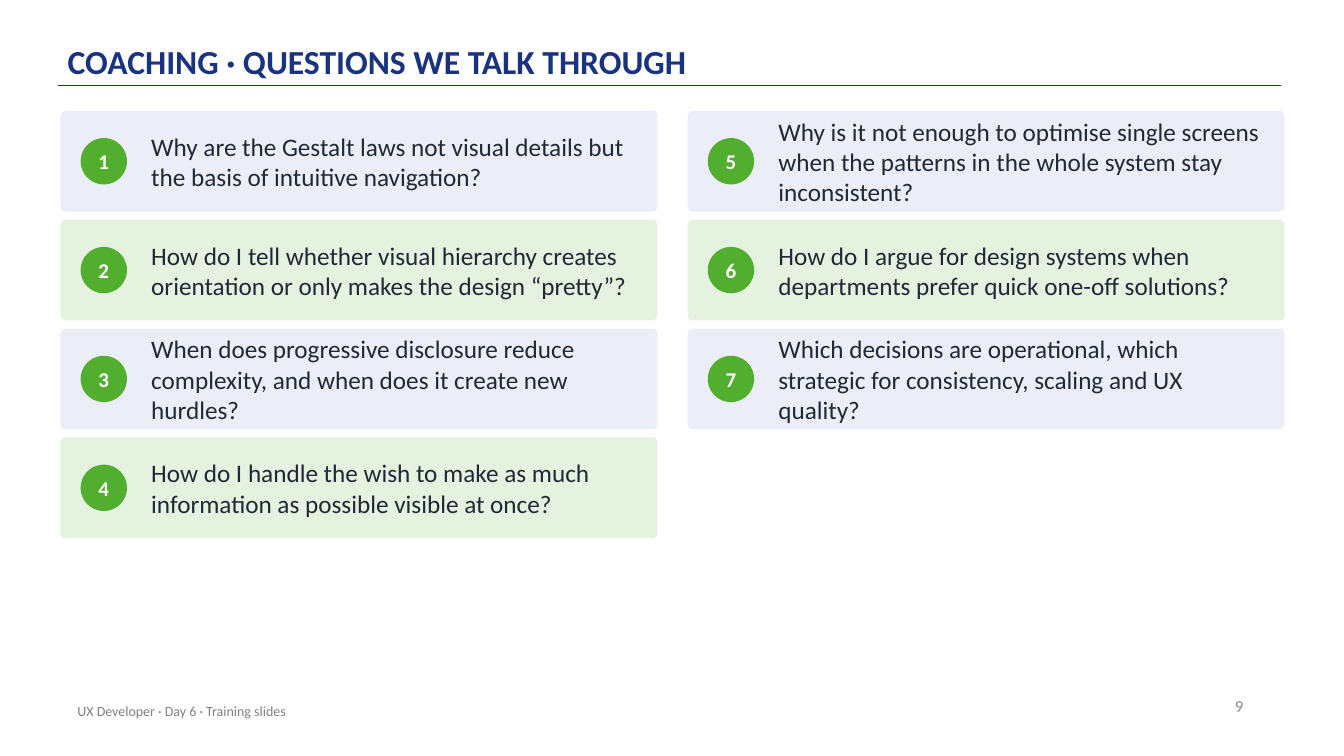
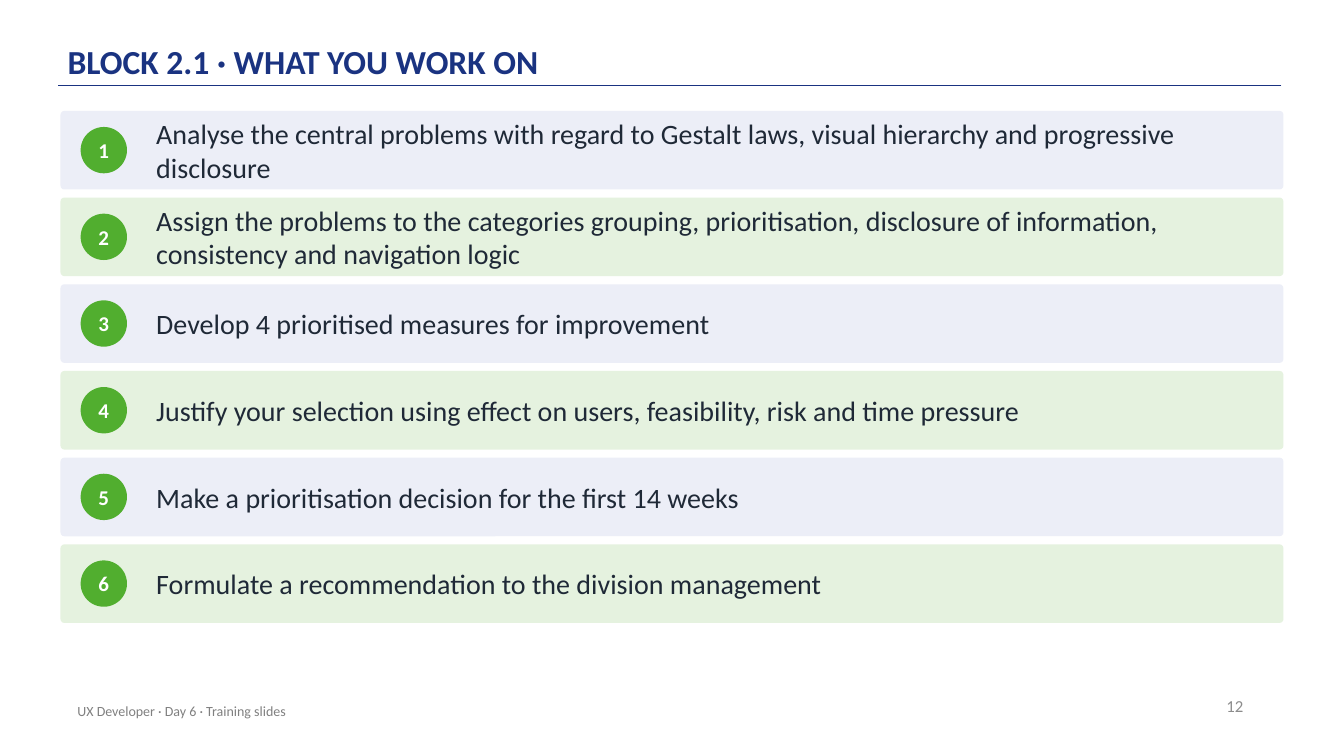
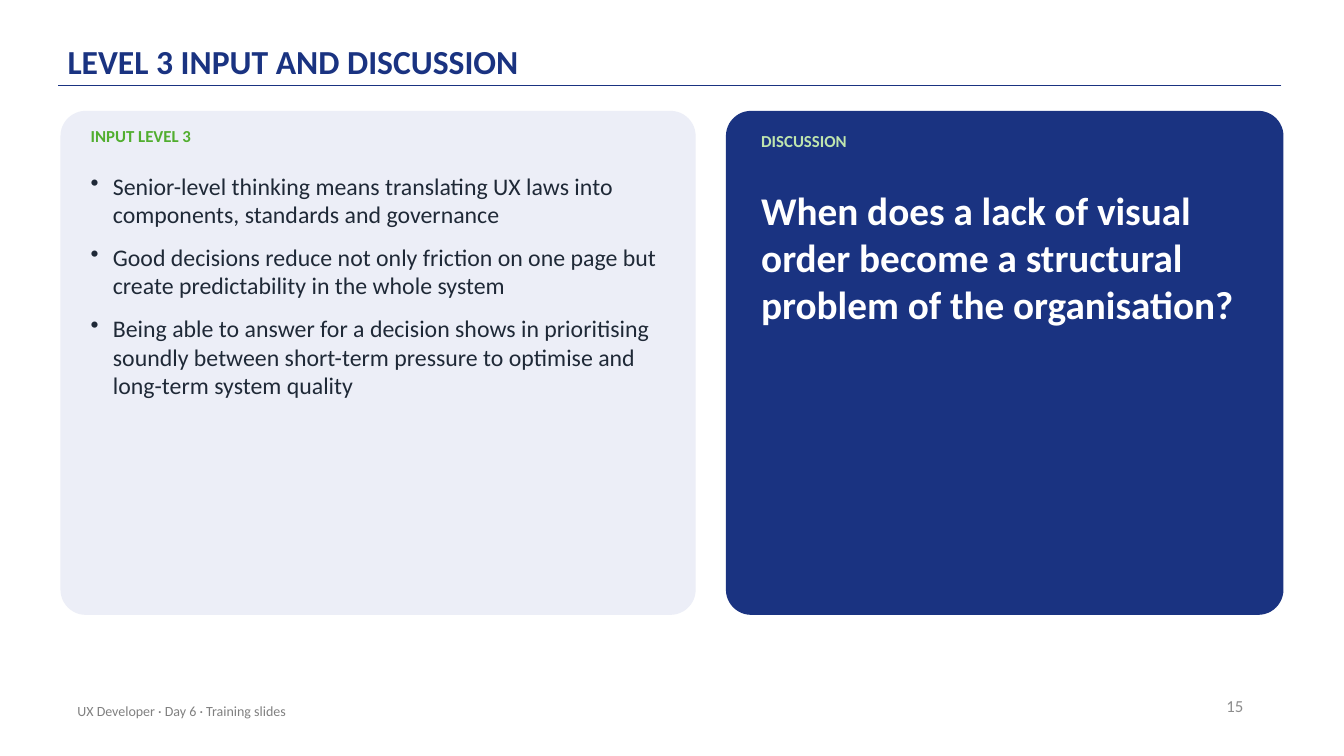
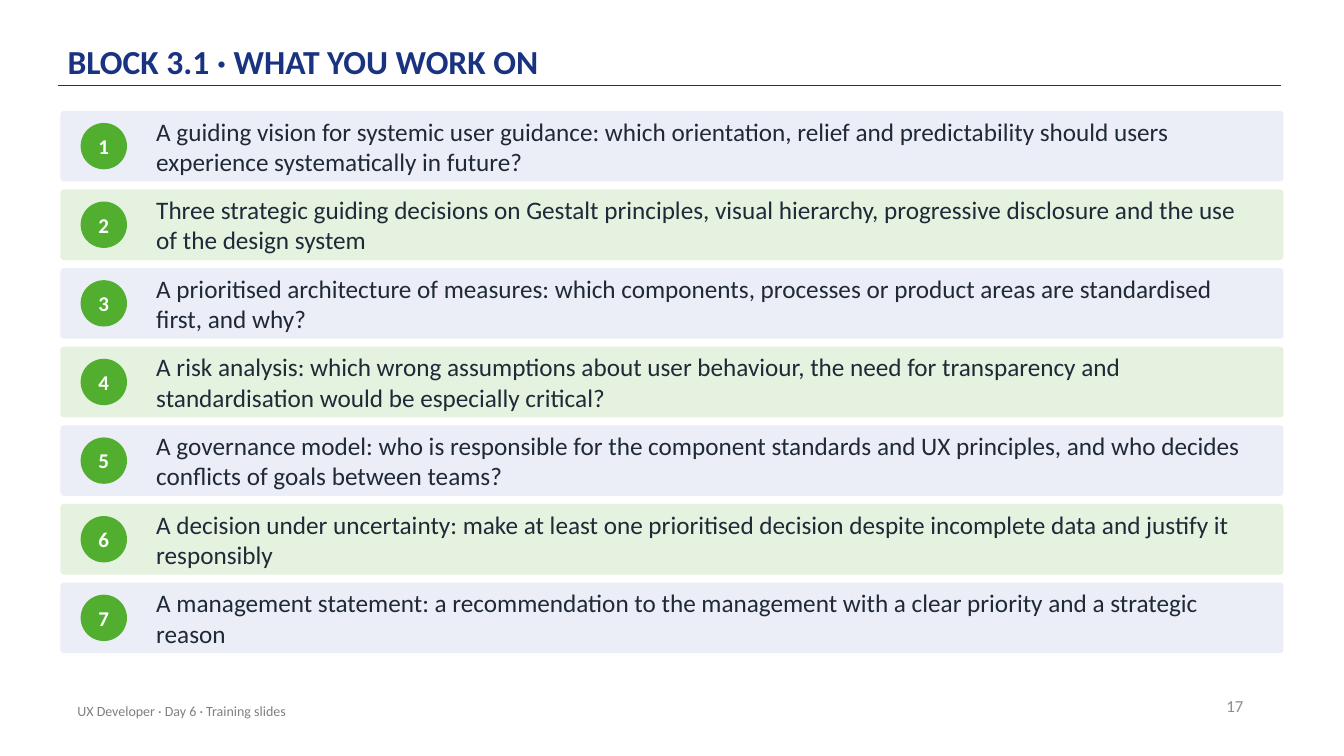
from lxml import etree
from pptx import Presentation
from pptx.dml.color import RGBColor
from pptx.enum.shapes import MSO_CONNECTOR, MSO_SHAPE
from pptx.enum.text import MSO_ANCHOR, PP_ALIGN
from pptx.oxml.ns import qn
from pptx.util import Inches, Pt

FONT = "Calibri"
NAVY = RGBColor(0x1A, 0x33, 0x81)
GREEN = RGBColor(0x51, 0xAE, 0x2F)
PALE_BLUE = RGBColor(0xEC, 0xEE, 0xF7)
PALE_GREEN = RGBColor(0xE5, 0xF2, 0xDF)
LIGHT_GREEN = RGBColor(0xBF, 0xE5, 0xAE)
INK = RGBColor(0x1F, 0x29, 0x37)
PAGE_GREY = RGBColor(0x8C, 0x8C, 0x8C)
FOOTER_GREY = RGBColor(0x80, 0x80, 0x80)
WHITE = RGBColor(0xFF, 0xFF, 0xFF)

FOOTER = "UX Developer · Day 6 · Training slides"
LEFT, TOP, GAP, BADGE = 0.6, 1.1, 0.08, 0.46


def add_panel(s, kind, box, fill):
    sp = s.shapes.add_shape(kind, *[Inches(v) for v in box])
    sp.shadow.inherit = False
    sp.fill.solid()
    sp.fill.fore_color.rgb = fill
    sp.line.fill.background()
    if kind == MSO_SHAPE.ROUNDED_RECTANGLE:
        sp.adjustments[0] = 0.05
    return sp


def add_text(s, box, lines, size, color, bold=False, anchor=MSO_ANCHOR.TOP,
             align=PP_ALIGN.LEFT, insets=(0, 0), after=0, bullet=False, sp=None):
    """Write into the given shape, or into a new text box."""
    if sp is None:
        sp = s.shapes.add_textbox(*[Inches(v) for v in box])
    tf = sp.text_frame
    tf.word_wrap = True
    tf.vertical_anchor = anchor
    tf.margin_left = tf.margin_right = Inches(insets[0])
    tf.margin_top = tf.margin_bottom = Inches(insets[1])
    tf.text = "\n".join(lines)
    for p in tf.paragraphs:
        p.alignment = align
        p.space_after = Pt(after)
        if bullet:
            pPr = p._p.get_or_add_pPr()
            pPr.set("marL", str(Inches(0.22)))
            pPr.set("indent", str(-Inches(0.22)))
            etree.SubElement(pPr, qn("a:buChar")).set("char", "•")
        for r in p.runs:
            r.font.name = FONT
            r.font.size = Pt(size)
            r.font.bold = bold
            r.font.color.rgb = color
    return sp


prs = Presentation()
prs.slide_width, prs.slide_height = Inches(13.33), Inches(7.5)

# Slides: title, page number
pages = [
    ("COACHING · QUESTIONS WE TALK THROUGH", 9),
    ("BLOCK 2.1 · WHAT YOU WORK ON", 12),
    ("LEVEL 3 INPUT AND DISCUSSION", 15),
    ("BLOCK 3.1 · WHAT YOU WORK ON", 17),
]

# Shared frame: title, rule, page number, footer
slides = []
for title, number in pages:
    s = prs.slides.add_slide(prs.slide_layouts[6])
    rule = s.shapes.add_connector(MSO_CONNECTOR.STRAIGHT, Inches(12.71), Inches(0.85),
                                  Inches(0.58), Inches(0.85))
    rule.line.color.rgb = NAVY
    rule.line.width = Pt(1)
    etree.SubElement(rule._element.spPr, qn("a:effectLst"))
    sp = add_text(s, (0.67, 0.12, 11, 0.72), [title], 24, NAVY, bold=True,
                  anchor=MSO_ANCHOR.BOTTOM, insets=(0, 0.03))
    sp.text_frame.paragraphs[0].line_spacing = 0.9
    add_text(s, (9.43, 6.8, 3, 0.4), [str(number)], 12, PAGE_GREY,
             anchor=MSO_ANCHOR.MIDDLE, align=PP_ALIGN.RIGHT, insets=(0.1, 0.05))
    add_text(s, (0.67, 6.85, 6.7, 0.4), [FOOTER], 10, FOOTER_GREY,
             anchor=MSO_ANCHOR.MIDDLE, insets=(0.1, 0.05))
    slides.append(s)
coaching, block_2, level_3, block_3 = slides

questions = [
    "Why are the Gestalt laws not visual details but the basis of intuitive navigation?",
    "How do I tell whether visual hierarchy creates orientation or only makes the design “pretty”?",
    "When does progressive disclosure reduce complexity, and when does it create new hurdles?",
    "How do I handle the wish to make as much information as possible visible at once?",
    "Why is it not enough to optimise single screens when the patterns in the whole system "
    "stay inconsistent?",
    "How do I argue for design systems when departments prefer quick one-off solutions?",
    "Which decisions are operational, which strategic for consistency, scaling and UX quality?",
]
tasks_2 = [
    "Analyse the central problems with regard to Gestalt laws, visual hierarchy and "
    "progressive disclosure",
    "Assign the problems to the categories grouping, prioritisation, disclosure of "
    "information, consistency and navigation logic",
    "Develop 4 prioritised measures for improvement",
    "Justify your selection using effect on users, feasibility, risk and time pressure",
    "Make a prioritisation decision for the first 14 weeks",
    "Formulate a recommendation to the division management",
]
tasks_3 = [
    "A guiding vision for systemic user guidance: which orientation, relief and "
    "predictability should users experience systematically in future?",
    "Three strategic guiding decisions on Gestalt principles, visual hierarchy, "
    "progressive disclosure and the use of the design system",
    "A prioritised architecture of measures: which components, processes or product areas "
    "are standardised first, and why?",
    "A risk analysis: which wrong assumptions about user behaviour, the need for "
    "transparency and standardisation would be especially critical?",
    "A governance model: who is responsible for the component standards and UX principles, "
    "and who decides conflicts of goals between teams?",
    "A decision under uncertainty: make at least one prioritised decision despite "
    "incomplete data and justify it responsibly",
    "A management statement: a recommendation to the management with a clear priority "
    "and a strategic reason",
]

# Numbered cards: slide, items, rows per column, card width and height,
# text offset and width, text size
card_lists = [
    (coaching, questions, 4, 5.92, 1, 0.9, 4.82, 18),
    (block_2, tasks_2, 6, 12.13, 0.78, 0.95, 10.93, 20),
    (block_3, tasks_3, 7, 12.13, 0.7, 0.95, 10.93, 18),
]
for s, items, rows, width, height, offset, text_width, size in card_lists:
    for i, item in enumerate(items):
        col, row = divmod(i, rows)
        x = LEFT + col * (width + 0.3)
        y = TOP + row * (height + GAP)
        add_panel(s, MSO_SHAPE.ROUNDED_RECTANGLE, (x, y, width, height),
                  PALE_GREEN if row % 2 else PALE_BLUE)
        box = (x + 0.2, y + (height - BADGE) / 2, BADGE, BADGE)
        badge = add_panel(s, MSO_SHAPE.OVAL, box, GREEN)
        add_text(s, box, [str(i + 1)], 15, WHITE, bold=True, anchor=MSO_ANCHOR.MIDDLE,
                 align=PP_ALIGN.CENTER, sp=badge)
        add_text(s, (x + offset, y, text_width, height), [item], size, INK,
                 anchor=MSO_ANCHOR.MIDDLE)

# Level 3: input panel
s = level_3
add_panel(s, MSO_SHAPE.ROUNDED_RECTANGLE, (LEFT, TOP, 6.3, 5), PALE_BLUE)
add_text(s, (0.9, 1.25, 5.7, 0.35), ["INPUT LEVEL 3"], 12, GREEN, bold=True)
add_text(s, (0.9, 1.7, 5.7, 4.2), [
    "Senior-level thinking means translating UX laws into components, standards and governance",
    "Good decisions reduce not only friction on one page but create predictability in the "
    "whole system",
    "Being able to answer for a decision shows in prioritising soundly between short-term "
    "pressure to optimise and long-term system quality",
], 17, INK, after=10, bullet=True)

# Level 3: discussion panel
add_panel(s, MSO_SHAPE.ROUNDED_RECTANGLE, (7.2, TOP, 5.53, 5), NAVY)
add_text(s, (7.55, 1.3, 4.5, 0.35), ["DISCUSSION"], 12, LIGHT_GREEN, bold=True)
add_text(s, (7.55, 1.85, 4.83, 4),
         ["When does a lack of visual order become a structural problem of the organisation?"],
         28, WHITE, bold=True)

prs.save("out.pptx")
